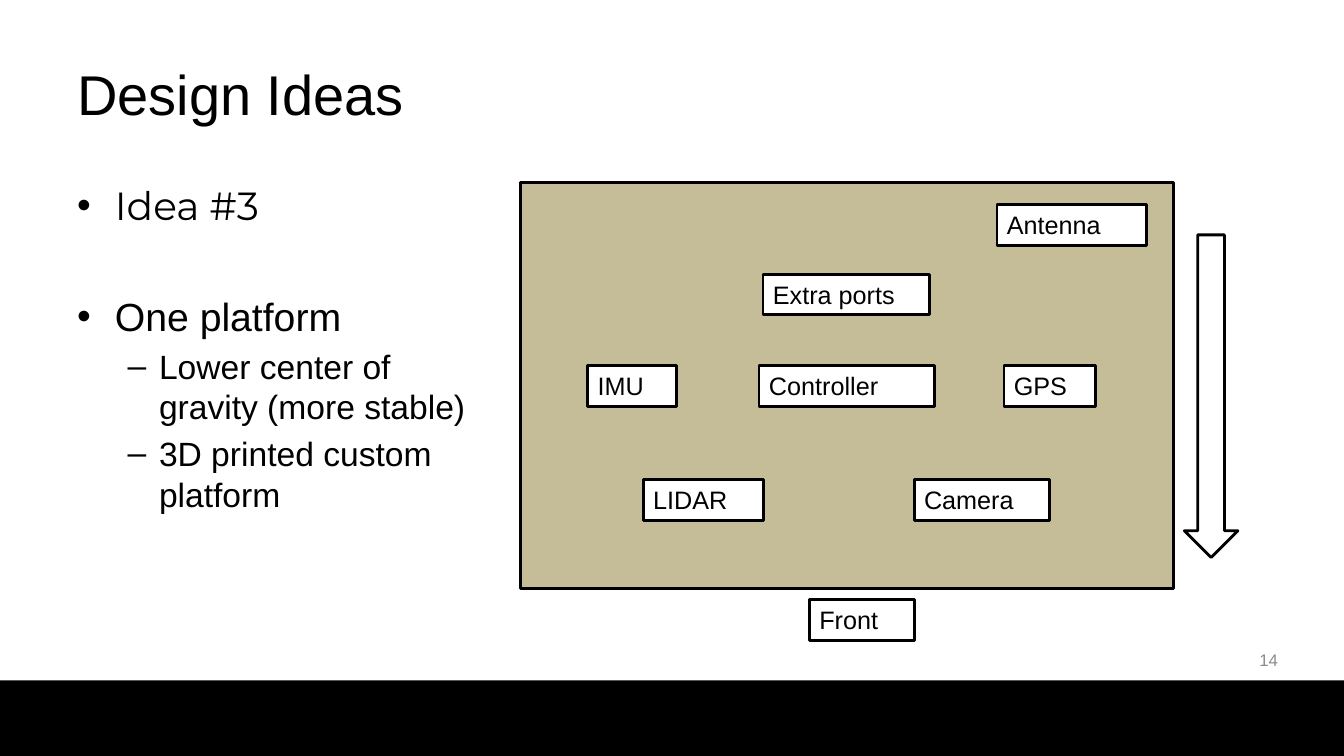
from pptx import Presentation
from pptx.dml.color import RGBColor
from pptx.enum.shapes import MSO_SHAPE as Shape
from pptx.enum.text import MSO_ANCHOR as Anchor, MSO_AUTO_SIZE as AutoSize, PP_ALIGN as Align
from pptx.oxml.ns import qn
from pptx.util import Pt
from lxml.etree import SubElement

BLACK, WHITE, TAN, GREY = "000000", "FFFFFF", "C4BD97", "8C8C8C"
LABEL_HEIGHT = 29.1

# text, font, size, left indent, hanging indent, bullet, space before
BULLETS = [
    ("Idea #3", "Montserrat", 28, 27, 27, "•", 0),
    ("One platform", "Arial", 28, 27, 27, "•", 45.5),
    ("Lower center of gravity (more stable)", "Arial", 24, 58.5, 22.5, "–", 4.8),
    ("3D printed custom platform", "Arial", 24, 58.5, 22.5, "–", 4.8),
]

# text, left and top within the platform, width
PARTS = [
    ("Antenna", 340.6, 15.9, 106.6),
    ("Extra ports", 173.5, 65.5, 118.8),
    ("IMU", 48.3, 131, 63.4),
    ("Controller", 170.7, 131, 125.3),
    ("GPS", 345.6, 131, 65.5),
    ("LIDAR", 87.9, 212.4, 85.7),
    ("Camera", 281.5, 212.4, 96.5),
    ("Front", 206.7, 298.1, 74.9),
]


def color(value):
    return RGBColor.from_string(value)


def write(paragraph, text, size=18, font="Arial", ink=BLACK, align=Align.LEFT):
    run = paragraph.add_run()
    run.text = text
    run.font.size, run.font.name = Pt(size), font
    run.font.color.rgb = color(ink)
    paragraph.alignment = align


def add_box(slide, box, fill, outline=BLACK, kind=Shape.RECTANGLE):
    shape = slide.shapes.add_shape(kind, *map(Pt, box))
    shape.shadow.inherit = False
    shape.fill.solid()
    shape.fill.fore_color.rgb = color(fill)
    if outline:
        shape.line.color.rgb = color(outline)
        shape.line.width = Pt(2)
    else:
        shape.line.fill.background()
    return shape


def add_bullet(paragraph, mark, left, hanging):
    properties = paragraph._p.get_or_add_pPr()
    properties.set("marL", str(Pt(left)))
    properties.set("indent", str(-Pt(hanging)))
    SubElement(properties, qn("a:buFont"), typeface="Arial")
    SubElement(properties, qn("a:buChar"), char=mark)


def add_title(slide, box):
    title = slide.shapes.title
    title.left, title.top, title.width, title.height = map(Pt, box)
    frame = title.text_frame
    frame.auto_size = AutoSize.NONE
    frame.vertical_anchor = Anchor.MIDDLE
    write(frame.paragraphs[0], "Design Ideas", size=40)


def add_idea_list(slide, box):
    frame = slide.shapes.add_textbox(*map(Pt, box)).text_frame
    frame.word_wrap = True
    for index, (text, font, size, left, hanging, mark, before) in enumerate(BULLETS):
        paragraph = frame.add_paragraph() if index else frame.paragraphs[0]
        write(paragraph, text, size=size, font=font)
        paragraph.space_before = Pt(before)
        add_bullet(paragraph, mark, left, hanging)


def add_platform(slide, box):
    """Draw the platform, its labelled parts and the arrow towards its front."""
    left, top, width, _ = box
    add_box(slide, box, TAN)
    for text, x, y, label_width in PARTS:
        label = add_box(slide, (left + x, top + y, label_width, LABEL_HEIGHT), WHITE)
        frame = label.text_frame
        frame.word_wrap = True
        frame.vertical_anchor = Anchor.TOP
        write(frame.paragraphs[0], text)
    add_box(slide, (left + width + 7.9, top + 37.5, 38.2, 230.4), WHITE,
            kind=Shape.DOWN_ARROW)


def add_footer(slide, box):
    """Draw the black band with the slide number above its right end."""
    left, top, width, _ = box
    add_box(slide, box, BLACK, outline=None)
    number = slide.shapes.add_textbox(
        Pt(left + width - 264), Pt(top - 28.8), Pt(224), Pt(28.8))
    frame = number.text_frame
    frame.word_wrap = True
    frame.vertical_anchor = Anchor.MIDDLE
    write(frame.paragraphs[0], "14", size=12, ink=GREY, align=Align.RIGHT)


def main():
    deck = Presentation()
    deck.slide_width, deck.slide_height = Pt(960), Pt(540)
    slide = deck.slides.add_slide(deck.slide_layouts[5])
    add_footer(slide, (0, 486, 960, 54))
    add_title(slide, (48, 21.6, 864, 90))
    add_idea_list(slide, (48, 126, 315.4, 356.4))
    add_platform(slide, (371.5, 130.3, 466.6, 290.2))
    deck.save("out.pptx")


if __name__ == "__main__":
    main()
